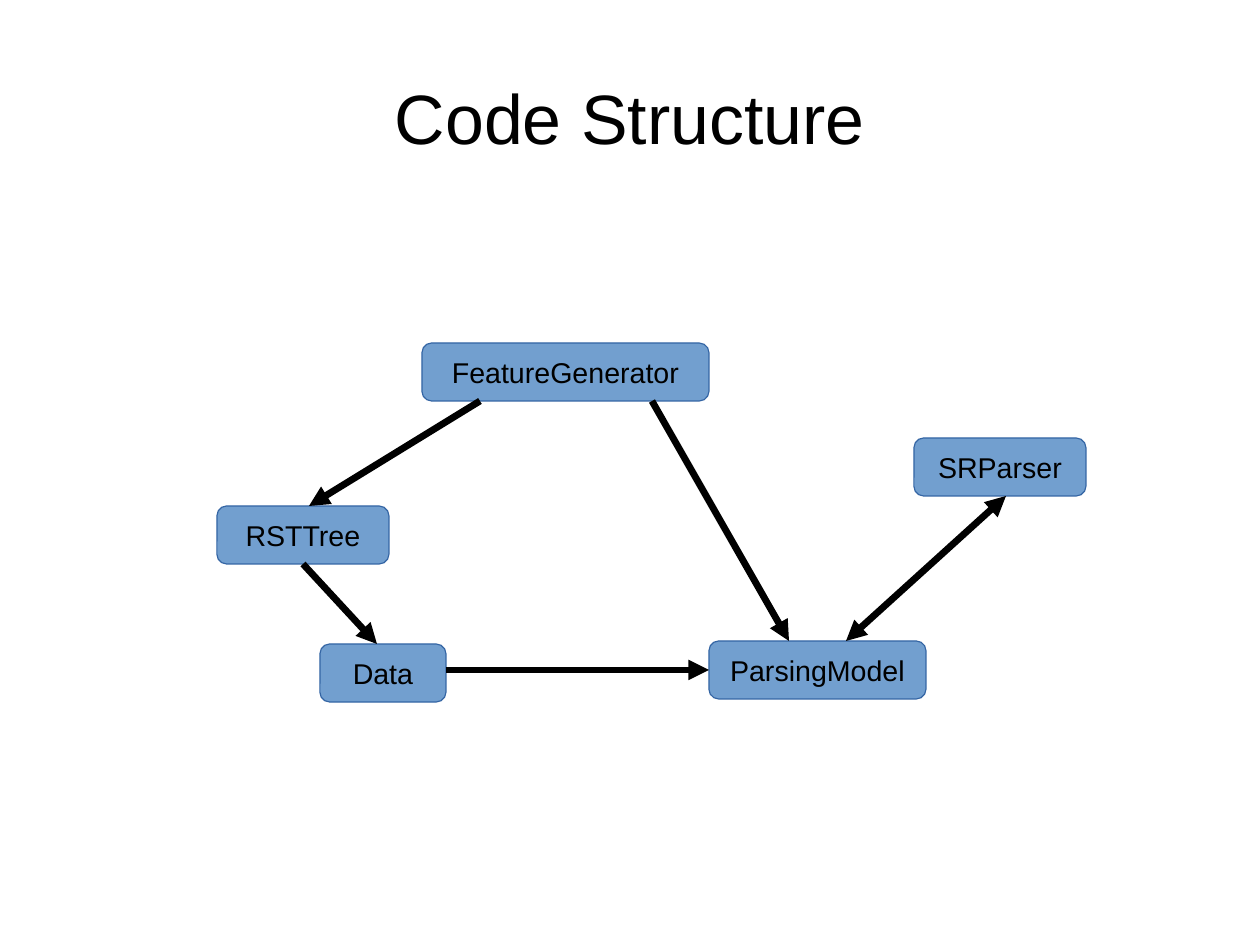
"""Build the Code Structure slide: five class boxes linked by arrows."""
from pptx import Presentation
from pptx import util as u
from pptx.dml.color import RGBColor
from pptx.enum import shapes, text
from pptx.oxml.ns import qn
from lxml import etree

PX = 8000
FONT = "Arial"
COLORS = {"text": "000000", "arrow": "000000", "box": "729FCF", "edge": "3465A4"}
SLIDE = (1260, 945)
TITLE = ("Code Structure", (63, 38, 1134, 158))
BOX_H = 58
BOXES = {
    "RSTTree": (217, 506, 172),
    "SRParser": (914, 438, 172),
    "FeatureGenerator": (422, 343, 287),
    "Data": (320, 644, 126),
    "ParsingModel": (709, 641, 217),
}
# start, end, joined start (box, site), joined end, arrowheads
ARROWS = [
    ((480, 401), (309, 506), None, None, ["tailEnd"]),
    ((652, 401), (789, 641), None, None, ["tailEnd"]),
    ((303, 564), (377, 644), ("RSTTree", 2), None, ["tailEnd"]),
    ((446, 670), (709, 670), None, ("ParsingModel", 1), ["tailEnd"]),
    ((1006, 496), (846, 641), None, None, ["headEnd", "tailEnd"]),
]


def px(*values):
    return [u.Emu(v * PX) for v in values]


def color(name):
    return RGBColor.from_string(COLORS[name])


def write(sp, words, size, wrap):
    tf = sp.text_frame
    tf.word_wrap = wrap
    tf.vertical_anchor = text.MSO_ANCHOR.MIDDLE
    p = tf.paragraphs[0]
    p.text = words
    p.alignment = text.PP_ALIGN.CENTER
    p.font.name = FONT
    p.font.size = u.Pt(size)
    p.font.color.rgb = color("text")
    return tf


def add_title(s):
    words, place = TITLE
    tf = write(s.shapes.add_textbox(*px(*place)), words, 44, True)
    tf.margin_left = tf.margin_right = tf.margin_top = tf.margin_bottom = 0


def add_box(s, name, x, y, w):
    sp = s.shapes.add_shape(shapes.MSO_SHAPE.ROUNDED_RECTANGLE, *px(x, y, w, BOX_H))
    sp.shadow.inherit = False
    sp.fill.solid()
    sp.fill.fore_color.rgb = color("box")
    sp.line.color.rgb = color("edge")
    sp.line.width = 0
    write(sp, name, 18, False)
    return sp


def add_arrow(s, boxes, start, end, start_join, end_join, heads):
    c = s.shapes.add_connector(shapes.MSO_CONNECTOR.STRAIGHT, *px(*start, *end))
    if start_join:
        c.begin_connect(boxes[start_join[0]], start_join[1])
    if end_join:
        c.end_connect(boxes[end_join[0]], end_join[1])
    c.line.color.rgb = color("arrow")
    c.line.width = u.Pt(4.31)
    ln = c.line._get_or_add_ln()
    for head in heads:
        etree.SubElement(ln, qn("a:" + head), type="triangle")
    etree.SubElement(ln.getparent(), qn("a:effectLst"))


def main():
    prs = Presentation()
    prs.slide_width, prs.slide_height = px(*SLIDE)
    s = prs.slides.add_slide(prs.slide_layouts[6])
    add_title(s)
    boxes = {name: add_box(s, name, *place) for name, place in BOXES.items()}
    for arrow in ARROWS:
        add_arrow(s, boxes, *arrow)
    prs.save("out.pptx")


if __name__ == "__main__":
    main()
